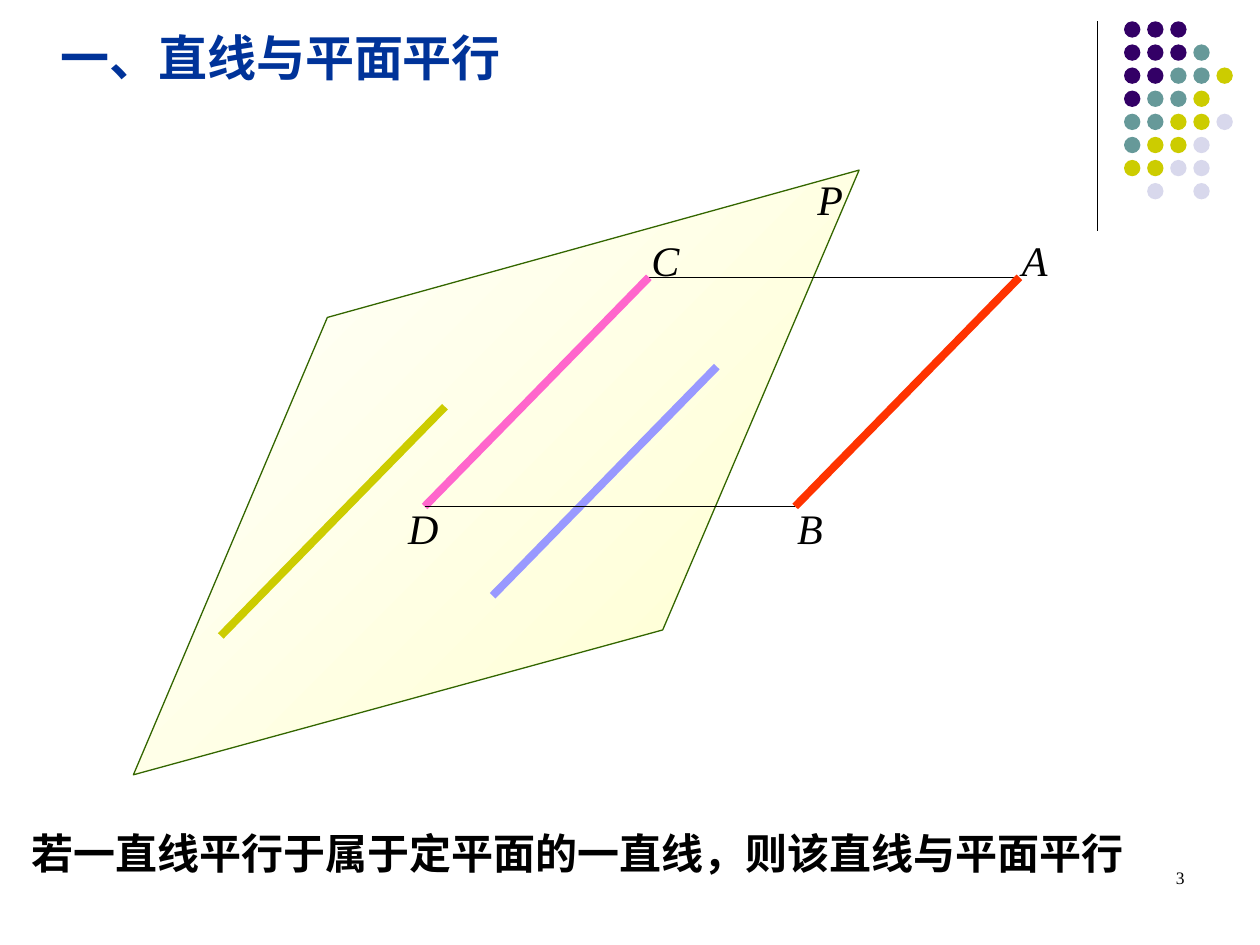
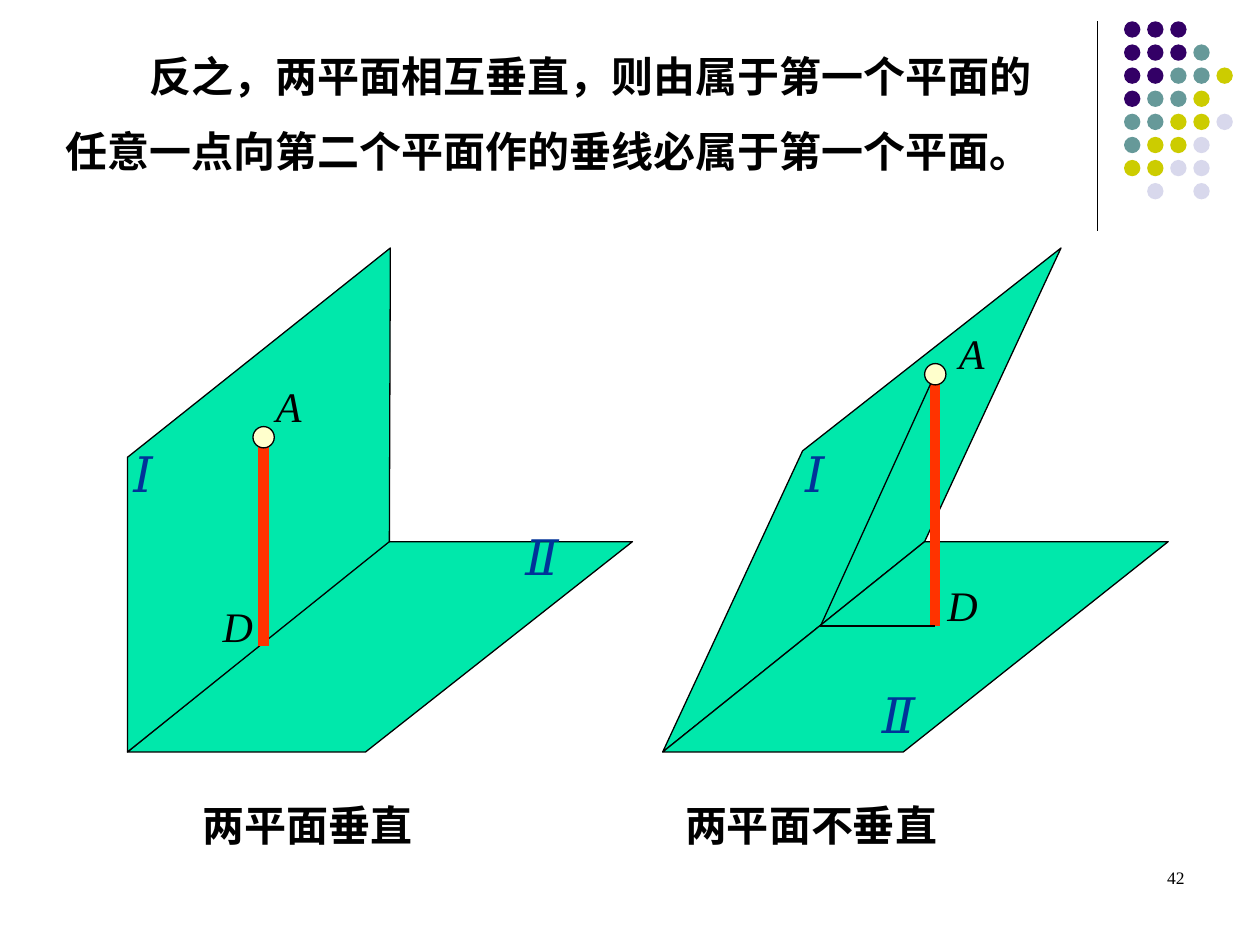
from dataclasses import dataclass

from lxml.etree import SubElement as add_node
from pptx import Presentation
from pptx.dml.color import RGBColor as Rgb
from pptx.enum.shapes import MSO_CONNECTOR as Link, MSO_SHAPE as Shape
from pptx.enum.text import PP_ALIGN as Align
from pptx.oxml.ns import qn
from pptx.util import Cm, Pt


@dataclass(frozen=True)
class Theme:
    ink: str = "000000"
    blue: str = "003399"
    red: str = "FF3300"
    pink: str = "FF66CC"
    lilac: str = "9999FF"
    olive: str = "CCCC00"
    plum: str = "330066"
    teal: str = "669999"
    mist: str = "D8D8EC"
    mint: str = "00E8AB"
    cream: str = "FFFFCC"
    white: str = "FFFFFF"
    moss: str = "336600"
    serif: str = "Times New Roman"
    sans: str = "Arial"
    han: str = "Noto Sans CJK SC"
    head: int = 28
    body: int = 24
    foot: int = 10
    thin: float = 0.75
    bold: float = 4.5
    heavy: float = 6


theme = Theme()


def stroke(slide, start, end, hue=theme.ink, width=theme.thin):
    line = slide.shapes.add_connector(Link.STRAIGHT, *map(Cm, start + end))
    line.line.color.rgb = Rgb.from_string(hue)
    line.line.width = Pt(width)
    add_node(line.element.spPr, qn("a:effectLst"))
    return line


def write(slide, text, box, size=theme.body, face=theme.serif, hue=theme.ink, bold=False, italic=False):
    frame = slide.shapes.add_textbox(*map(Cm, box)).text_frame
    frame.word_wrap = True
    par = frame.paragraphs[0]
    par.text = text
    font = par.font
    font.name, font.size = face, Pt(size)
    font.bold, font.italic = bold, italic
    font.color.rgb = Rgb.from_string(hue)
    if bold:
        add_node(par._p.pPr.find(qn("a:defRPr")), qn("a:ea"), typeface=theme.han)
    return par


deck = Presentation()
deck.slide_width, deck.slide_height = Cm(25.4), Cm(19.05)
blank = deck.slide_layouts[6]
for holder in list(blank.placeholders):
    blank.shapes.element.remove(holder.element)

first = deck.slides.add_slide(blank)
last = deck.slides.add_slide(blank)

rule = stroke(first, (22.12, 0.43), (22.12, 4.65))
dots = first.shapes.add_group_shape()
hues = {"P": theme.plum, "T": theme.teal, "O": theme.olive, "M": theme.mist}
rows = ["PPP", "PPPT", "PPTTO", "PTTO", "TTOOM", "TOOM", "OOMM", " M M"]
step = 3.26 / 7
for row, marks in enumerate(rows):
    for col, mark in enumerate(marks):
        if mark in hues:
            dot = dots.shapes.add_shape(
                Shape.OVAL, Cm(22.66 + col * step), Cm(0.43 + row * step), Cm(0.33), Cm(0.33))
            dot.shadow.inherit = False
            dot.fill.solid()
            dot.fill.fore_color.rgb = Rgb.from_string(hues[mark])
            dot.line.fill.background()
for part in (rule, dots):
    blank.shapes.element.append(part.element)

for slide, number in ((first, "3"), (last, "42")):
    write(slide, number, (18.21, 17.35, 5.92, 1.27), theme.foot).alignment = Align.RIGHT

planes = [
    (first, theme.moss, [(6.6, 6.4), (2.69, 15.62), (13.36, 12.7), (17.32, 3.43)]),
    (last, theme.ink, [(16.18, 9.09), (13.36, 15.16), (18.64, 10.92), (21.39, 5)]),
    (last, theme.ink, [(13.36, 15.16), (18.21, 15.16), (23.55, 10.92), (18.64, 10.92)]),
    (last, theme.ink, [(2.57, 15.16), (7.37, 15.16), (12.75, 10.92), (7.82, 10.92)]),
    (last, theme.ink, [(2.57, 9.22), (2.57, 15.16), (7.85, 10.92), (7.87, 5)]),
]
for slide, edge, points in planes:
    start, *rest = [(Cm(x), Cm(y)) for x, y in points]
    pen = slide.shapes.build_freeform(*start)
    pen.add_line_segments(rest, close=True)
    plane = pen.convert_to_shape()
    plane.shadow.inherit = False
    plane.line.color.rgb = Rgb.from_string(edge)
    plane.line.width = Pt(theme.thin)
    if slide is first:
        plane.fill.gradient()
        plane.fill.gradient_angle = 135
        for stop, hue in zip(plane.fill.gradient_stops, (theme.cream, theme.white)):
            stop.color.rgb = Rgb.from_string(hue)
    else:
        plane.fill.solid()
        plane.fill.fore_color.rgb = Rgb.from_string(theme.mint)

write(first, "一、直线与平面平行", (0.97, 0.43, 9.5, 1.45), theme.head, theme.sans, theme.blue, bold=True)
write(first, "若一直线平行于属于定平面的一直线，则该直线与平面平行",
      (0.38, 16.56, 25, 1.27), face=theme.han, bold=True)

stroke(first, (20.47, 5.59), (13, 5.59))
slants = [
    (8.97, 8.2, theme.olive),
    (14.45, 7.39, theme.lilac),
    (20.55, 5.59, theme.red),
    (13.08, 5.59, theme.pink),
]
for x, y, hue in slants:
    stroke(first, (x, y), (x - 4.52, y + 4.62), hue, theme.bold)
stroke(first, (8.56, 10.21), (16.03, 10.21))

par = write(last, "反之，两平面相互垂直，则由属于第一个平面的任意一点向第二个平面作的垂线必属于第一个平面。",
            (1.07, 0.38, 20.27, 3.3), face=theme.han, bold=True)
par.line_spacing = 1.5
par._p.pPr.set("indent", str(Pt(2 * theme.body)))

foot, bend = (18.85, 12.62), (16.54, 12.62)
drops = [((18.85, 7.54), foot), ((5.31, 8.81), (5.31, 13.03))]
for top, end in drops:
    stroke(last, top, end, theme.red, theme.heavy)
stroke(last, drops[0][0], bend)
stroke(last, bend, foot)
for (x, y), end in drops:
    ball = last.shapes.add_shape(Shape.OVAL, Cm(x - 0.21), Cm(y - 0.21), Cm(0.43), Cm(0.43))
    ball.shadow.inherit = False
    ball.fill.solid()
    ball.fill.fore_color.rgb = Rgb.from_string(theme.cream)
    ball.line.color.rgb = Rgb.from_string(theme.ink)
    ball.line.width = Pt(theme.thin)

labels = [
    (first, "P", 16.23, 3.38), (first, "C", 12.88, 4.6), (first, "D", 7.98, 10.01),
    (first, "B", 15.82, 10.01), (first, "A", 20.35, 4.6),
    (last, "A", 19.08, 6.48), (last, "D", 18.85, 11.56),
    (last, "A", 5.31, 7.54), (last, "D", 4.24, 11.99),
]
for slide, name, x, y in labels:
    write(slide, name, (x, y, 1.17 if slide is first else 1.07, 1.27), italic=True)

signs = [("Ⅰ", 15.98, 8.81, 0.89), ("Ⅱ", 17.53, 13.67, 1.17),
         ("Ⅰ", 2.44, 8.81, 0.89), ("Ⅱ", 10.34, 10.49, 1.17)]
for sign, x, y, width in signs:
    write(last, sign, (x, y, width, 1.45), theme.head, hue=theme.blue, italic=True)

for text, x, width in (("两平面垂直", 3.84, 5.08), ("两平面不垂直", 13.56, 6.55)):
    write(last, text, (x, 16, width, 1.27), bold=True)

deck.save("out.pptx")
